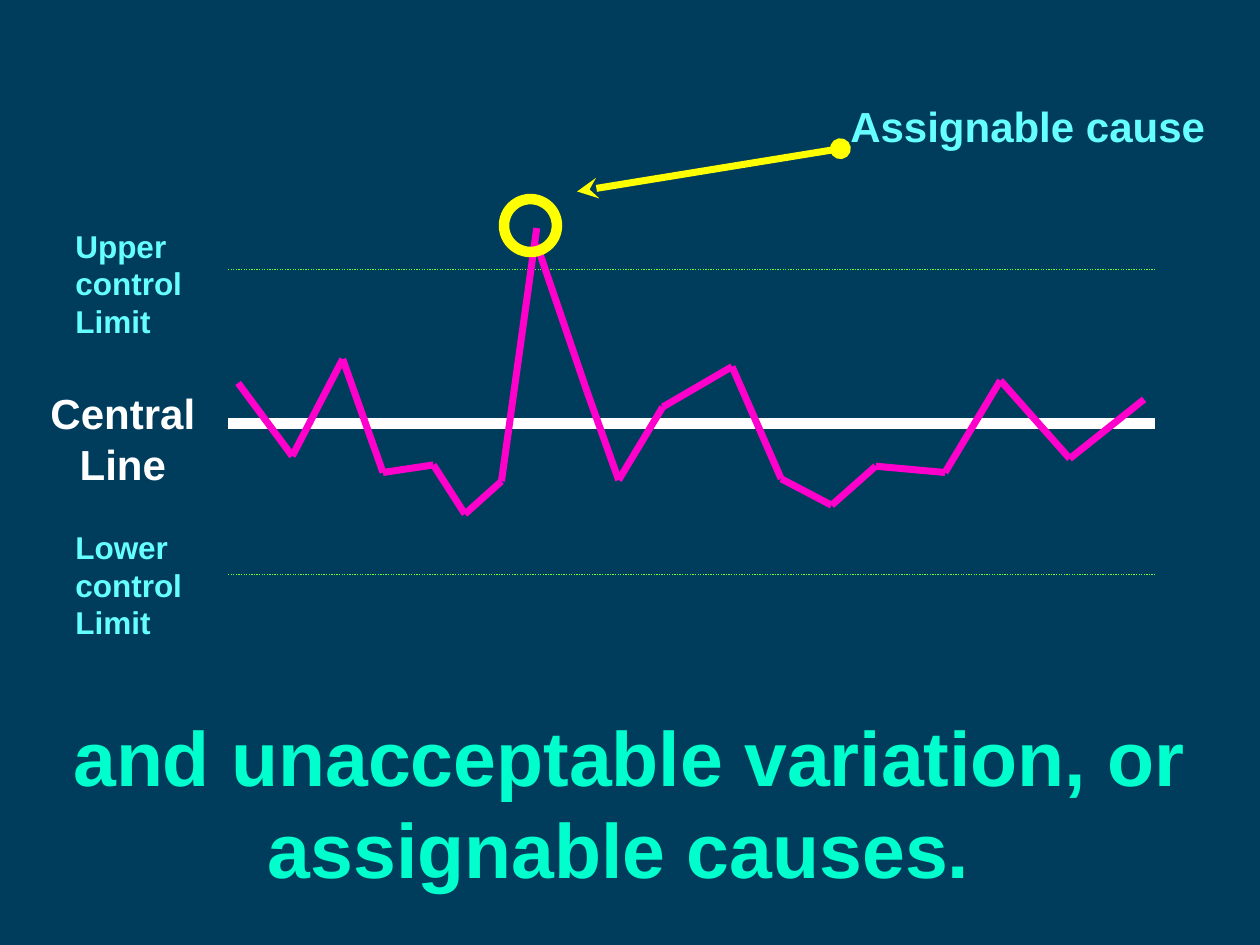
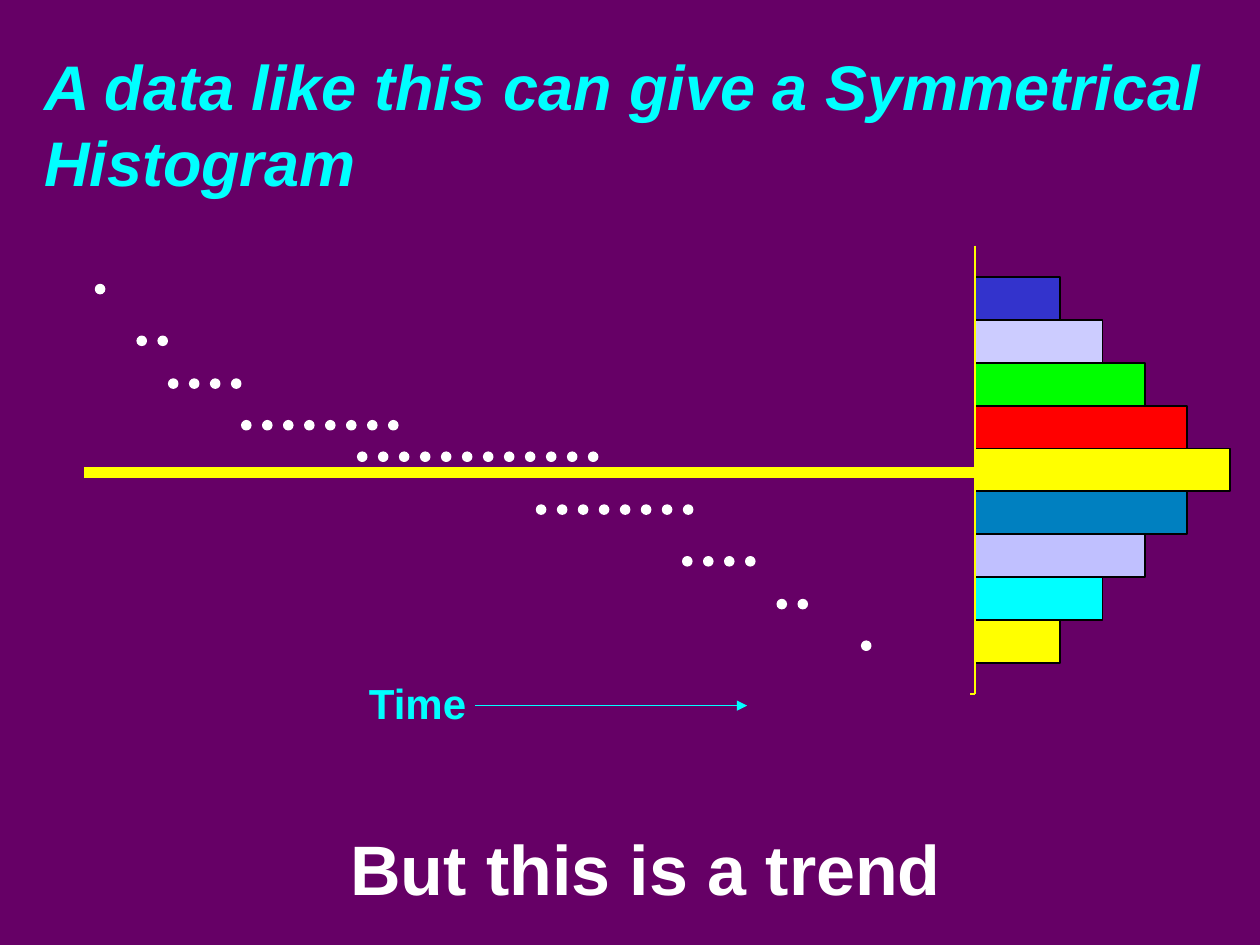
from itertools import pairwise

from lxml.etree import SubElement
from pptx import Presentation
from pptx.dml.color import RGBColor
from pptx.enum.dml import MSO_LINE
from pptx.enum.shapes import MSO_CONNECTOR, MSO_SHAPE
from pptx.enum.text import MSO_ANCHOR, MSO_AUTO_SIZE, PP_ALIGN
from pptx.oxml.ns import qn
from pptx.util import Inches, Pt

FONT = "Arial"
GRID_CELL = Inches(1)  # the slide is 10 columns by 7.5 rows
COLORS = {
    "navy": "003D5C", "purple": "660066", "white": "FFFFFF", "black": "000000",
    "mint": "00FFCC", "sky": "66FFFF", "cyan": "00FFFF", "lime": "66FF33",
    "magenta": "FF00CC", "yellow": "FFFF00", "blue": "3333CC",
    "lavender": "CCCCFF", "green": "00FF00", "red": "FF0000",
    "steel": "0080C0", "lilac": "C0C0FF",
}

# Process measurements before and after the out-of-control peak
RISE = [(1.89, 3.04), (2.32, 3.62), (2.72, 2.85), (3.04, 3.75), (3.44, 3.69),
        (3.69, 4.08), (3.98, 3.82), (4.26, 1.81)]
FALL = [(4.26, 1.94), (4.66, 3.11), (4.91, 3.81), (5.26, 3.23), (5.81, 2.91),
        (6.2, 3.8), (6.6, 4.01), (6.95, 3.7), (7.5, 3.75), (7.94, 3.02),
        (8.49, 3.64), (9.08, 3.17)]

# First dot's column, row, and number of dots
TREND = [(0.76, 2.26, 1), (1.09, 2.67, 2), (1.34, 3.01, 4), (1.92, 3.34, 8),
         (2.84, 3.59, 12), (4.26, 4.01, 8), (5.42, 4.42, 4), (6.17, 4.76, 2),
         (6.84, 5.09, 1)]
DOT_SIZE = 0.07
DOT_STEP = 1 / 6

# Histogram classes from top to bottom: frequency and colour
HISTOGRAM = [(2, "blue"), (3, "lavender"), (4, "green"), (5, "red"),
             (6, "yellow"), (5, "steel"), (4, "lilac"), (3, "cyan"),
             (2, "yellow")]
AXIS = 7.74
BAR_TOP = 2.2
BAR_HEIGHT = 0.34
BAR_UNIT = 2.02 / 6


def grid(*cells):
    return [int(cell * GRID_CELL) for cell in cells]


def color(name):
    return RGBColor.from_string(COLORS[name])


def add_page(deck, background):
    page = deck.slides.add_slide(deck.slide_layouts.get_by_name("Title Only"))
    page.background.fill.solid()
    page.background.fill.fore_color.rgb = color(background)
    return page


def write(box, lines, size, tint, align=PP_ALIGN.LEFT, italic=False, wrap=True):
    """Fill a box with one bold paragraph per line."""
    frame = box.text_frame
    frame.word_wrap = wrap
    frame.auto_size = MSO_AUTO_SIZE.NONE
    frame.vertical_anchor = MSO_ANCHOR.TOP
    for index, line in enumerate(lines):
        para = frame.add_paragraph() if index else frame.paragraphs[0]
        para.alignment = align
        span = para.add_run()
        span.text = line
        span.font.name = FONT
        span.font.size = Pt(size)
        span.font.bold = True
        span.font.italic = italic
        span.font.color.rgb = color(tint)


def set_title(page, place, line, size, tint, **style):
    title = page.shapes.title
    title.left, title.top, title.width, title.height = grid(*place)
    write(title, [line], size, tint, **style)


def add_label(page, place, lines, size, tint, **style):
    write(page.shapes.add_textbox(*grid(*place)), lines, size, tint, **style)


def add_line(page, start, end, tint, weight, dash=None, head=None, tail=None):
    """Draw a straight line; head and tail name the ends at start and end."""
    line = page.shapes.add_connector(MSO_CONNECTOR.STRAIGHT, *grid(*start, *end))
    line.line.color.rgb = color(tint)
    line.line.width = Pt(weight)
    if dash:
        line.line.dash_style = dash
    outline = line.line._get_or_add_ln()
    for tag, kind in (("a:headEnd", head), ("a:tailEnd", tail)):
        if kind:
            SubElement(outline, qn(tag), type=kind)
    SubElement(line._element.spPr, qn("a:effectLst"))


def add_figure(page, kind, place, fill, outline, weight=1):
    figure = page.shapes.add_shape(kind, *grid(*place))
    figure.shadow.inherit = False
    if fill:
        figure.fill.solid()
        figure.fill.fore_color.rgb = color(fill)
    else:
        figure.fill.background()
    figure.line.color.rgb = color(outline)
    figure.line.width = Pt(weight)


def add_control_line(page, row, tint, weight, dash=None):
    add_line(page, (1.81, row), (9.17, row), tint, weight, dash)


def add_histogram(page):
    for index, (frequency, tint) in enumerate(HISTOGRAM):
        place = (AXIS, BAR_TOP + index * BAR_HEIGHT, frequency * BAR_UNIT, BAR_HEIGHT)
        add_figure(page, MSO_SHAPE.RECTANGLE, place, tint, "black")
    add_line(page, (AXIS, 1.95), (AXIS, 5.51), "yellow", 1)
    add_line(page, (AXIS - 0.04, 5.51), (AXIS, 5.51), "yellow", 1)


def add_trend(page):
    for left, top, count in TREND:
        for index in range(count):
            place = (left + index * DOT_STEP, top, DOT_SIZE, DOT_SIZE)
            add_figure(page, MSO_SHAPE.OVAL, place, "white", "white")


def build_control_chart(deck):
    page = add_page(deck, "navy")
    # The closing space shifts the centred last line
    set_title(page, (0, 5.58, 10, 1.57),
              "and unacceptable variation, or assignable causes. ", 44, "mint",
              align=PP_ALIGN.CENTER)
    add_control_line(page, 3.36, "white", 6)
    add_label(page, (0.3, 3.03, 1.35, 0.9), ["Central", "Line"], 24, "white",
              align=PP_ALIGN.CENTER, wrap=False)
    for side, line_row, label_row in (("Upper", 2.14, 1.75), ("Lower", 4.56, 4.14)):
        add_control_line(page, line_row, "lime", 0.75, MSO_LINE.ROUND_DOT)
        add_label(page, (0.5, label_row, 1.14, 1), [side, "control", "Limit"],
                  18, "sky")
    for series in (RISE, FALL):
        for start, end in pairwise(series):
            add_line(page, start, end, "magenta", 4)
    add_figure(page, MSO_SHAPE.OVAL, (4, 1.58, 0.42, 0.42), None, "yellow", 6)
    add_line(page, (4.58, 1.52), (6.67, 1.18), "yellow", 4,
             head="stealth", tail="oval")
    add_label(page, (6.65, 0.75, 3.02, 0.5), ["Assignable cause"], 24, "sky",
              wrap=False)


def build_trend(deck):
    page = add_page(deck, "purple")
    set_title(page, (0.25, 0.33, 9.75, 1.3),
              "A data like this can give a Symmetrical Histogram", 36, "cyan",
              italic=True)
    add_histogram(page)
    add_line(page, (AXIS, 3.75), (0.67, 3.75), "yellow", 6)
    add_trend(page)
    add_label(page, (2.83, 5.33, 1.07, 0.5), ["Time"], 24, "cyan", wrap=False)
    add_line(page, (3.77, 5.6), (5.93, 5.6), "cyan", 1, tail="triangle")
    add_label(page, (0.25, 6.5, 9.75, 0.77), ["But this is a trend"], 40, "white",
              align=PP_ALIGN.CENTER)


def main():
    deck = Presentation()
    deck.slide_width, deck.slide_height = grid(10, 7.5)
    build_control_chart(deck)
    build_trend(deck)
    deck.save("out.pptx")


if __name__ == "__main__":
    main()
